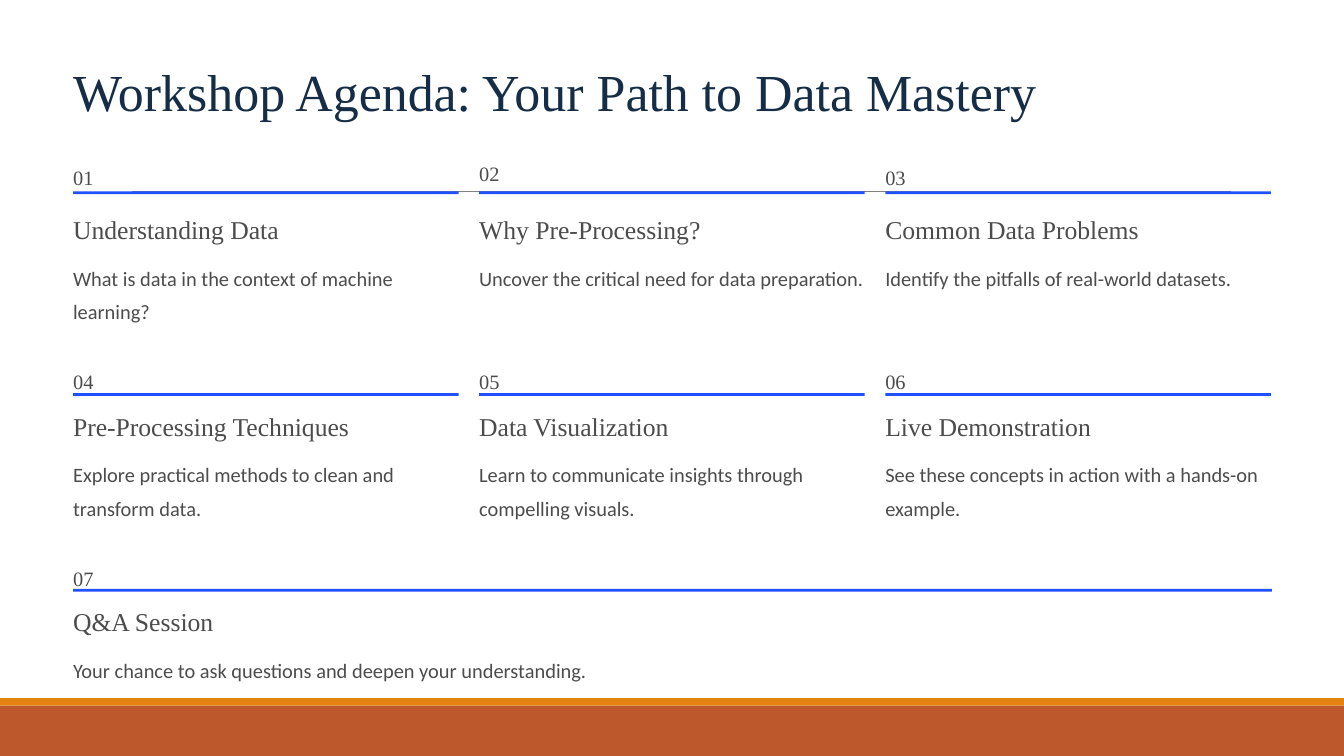
from dataclasses import dataclass
from lxml.etree import SubElement
from pptx import Presentation
from pptx.dml.color import RGBColor
from pptx.enum.shapes import MSO_CONNECTOR, MSO_SHAPE
from pptx.enum.text import MSO_ANCHOR, MSO_AUTO_SIZE, PP_ALIGN
from pptx.oxml.ns import qn
from pptx.util import Cm, Pt


@dataclass(frozen=True)
class Style:
    size: float
    face: str
    color: str
    lead: float


@dataclass(frozen=True)
class Theme:
    title: Style = Style(44.5, "Times New Roman", "152D47", 55.5)
    label: Style = Style(17.5, "Times New Roman", "4C4C4D", 28.5)
    head: Style = Style(22, "Times New Roman", "4C4C4D", 27.5)
    note: Style = Style(17.5, "Calibri", "4C4C4D", 28.5)
    blue: str = "2150FE"
    rust: str = "BD582C"
    gold: str = "E48312"
    gray: str = "808080"


@dataclass(frozen=True)
class Box:
    left: float
    top: float
    width: float
    height: float

    def below(self, down, width, height):
        return Box(self.left, self.top + down, width, height)

    def cm(self):
        return [Cm(round(n, 2)) for n in (self.left, self.top, self.width, self.height)]


THEME = Theme()
LEFT, STEP, WIDE, FULL = 2.21, 12.28, 11.66, 36.25
ROWS = [
    (5.79, 0.64, 3.36, [
        ("01", 1.07, 7.85, "Understanding Data", "What is data in the context of machine learning?"),
        ("02", 1.19, 7.85, "Why Pre-Processing?", "Uncover the critical need for data preparation."),
        ("03", 1.07, 7.95, "Common Data Problems", "Identify the pitfalls of real-world datasets."),
    ]),
    (11.89, 0.48, 3.36, [
        ("04", 0.99, 8.74, "Pre-Processing Techniques", "Explore practical methods to clean and transform data."),
        ("05", 0.99, 7.85, "Data Visualization", "Learn to communicate insights through compelling visuals."),
        ("06", 0.99, 7.85, "Live Demonstration", "See these concepts in action with a hands-on example."),
    ]),
    (17.81, 0.48, 2.37, [
        ("07", 0.97, 7.85, "Q&A Session", "Your chance to ask questions and deepen your understanding."),
    ]),
]


def fill_text(frame, text, style, wrap):
    frame.auto_size = MSO_AUTO_SIZE.NONE
    frame.word_wrap = wrap
    frame.vertical_anchor = MSO_ANCHOR.TOP
    frame.margin_left = frame.margin_right = 0
    frame.margin_top = frame.margin_bottom = 0
    para = frame.paragraphs[0]
    para.alignment = PP_ALIGN.LEFT
    para.line_spacing = Pt(style.lead)
    run = para.add_run()
    run.text = text
    run.font.size = Pt(style.size)
    run.font.name = style.face
    run.font.color.rgb = RGBColor.from_string(style.color)


def add_text(slide, box, text, style, wrap=False):
    shape = slide.shapes.add_textbox(*box.cm())
    fill_text(shape.text_frame, text, style, wrap)


def add_bar(slide, box, color):
    bar = slide.shapes.add_shape(MSO_SHAPE.RECTANGLE, *box.cm())
    bar.shadow.inherit = False
    bar.fill.solid()
    bar.fill.fore_color.rgb = RGBColor.from_string(color)
    bar.line.fill.background()


def add_frame(slide, box):
    add_bar(slide, box.below(21.34, box.width, 1.52), THEME.rust)
    add_bar(slide, box.below(21.11, box.width, 0.23), THEME.gold)
    left, top = box.left + 3.99, box.top + 5.79
    line = slide.shapes.add_connector(
        MSO_CONNECTOR.STRAIGHT, Cm(left), Cm(top), Cm(left + 33.22), Cm(top))
    line.line.width = Pt(0.5)
    line.line.color.rgb = RGBColor.from_string(THEME.gray)
    SubElement(line._element.spPr, qn("a:effectLst"))


def add_title(slide, box, text):
    title = slide.shapes.title
    title.left, title.top, title.width, title.height = box.cm()
    fill_text(title.text_frame, text, THEME.title, False)


def add_card(slide, box, gap, item):
    label, lift, span, head, note = item
    add_text(slide, box.below(-lift, 0.64, 0.79), label, THEME.label)
    add_bar(slide, box.below(0, box.width, 0.08), THEME.blue)
    add_text(slide, box.below(gap, span, 0.99), head, THEME.head)
    down = gap + 1.35
    add_text(slide, box.below(down, box.width, box.height - 1.35), note, THEME.note, True)


def main():
    deck = Presentation()
    deck.slide_width, deck.slide_height = Cm(40.64), Cm(22.86)
    slide = deck.slides.add_slide(deck.slide_layouts[5])
    add_frame(slide, Box(0, 0, 40.64, 22.86))
    add_title(slide, Box(LEFT, 1.73, 29.64, 1.96), "Workshop Agenda: Your Path to Data Mastery")
    for top, gap, height, items in ROWS:
        width = FULL if len(items) == 1 else WIDE
        for col, item in enumerate(items):
            add_card(slide, Box(LEFT + col * STEP, top, width, height), gap, item)
    deck.save("out.pptx")


if __name__ == "__main__":
    main()
